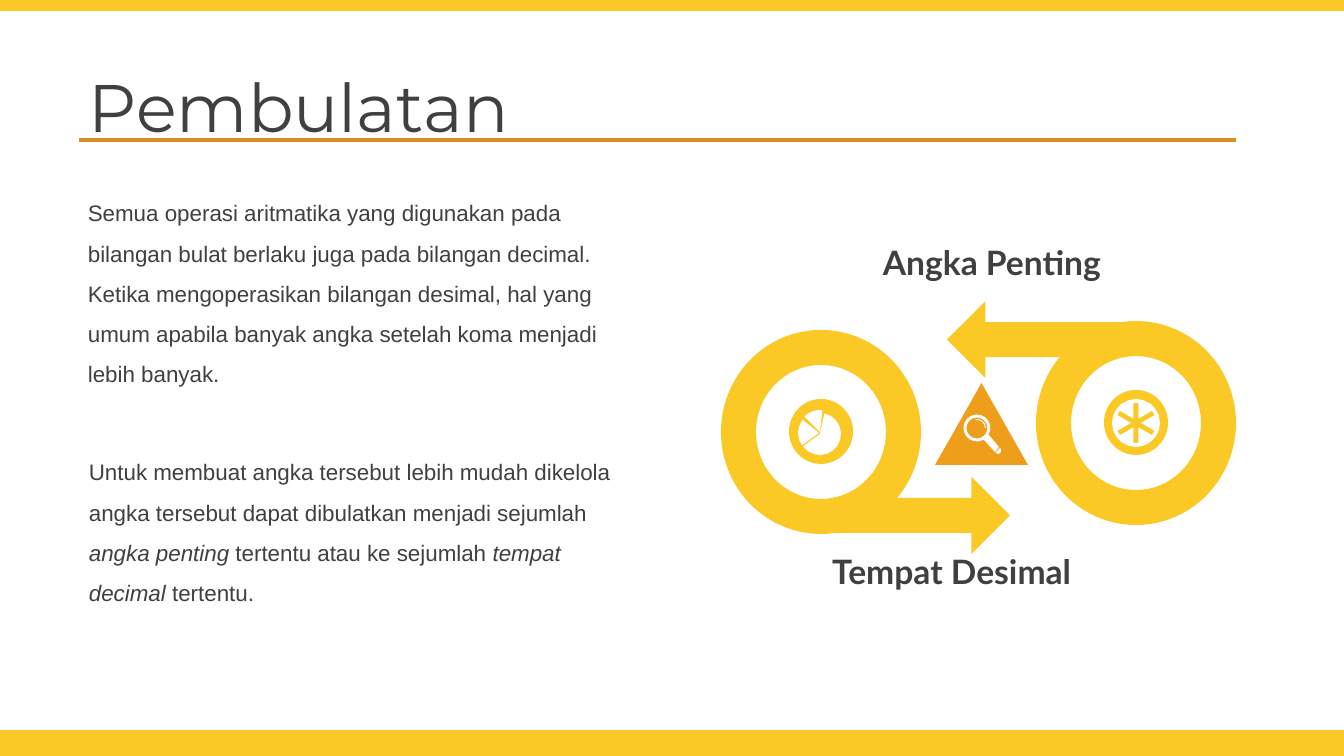
"""Builds the slide about rounding decimal numbers."""
from math import cos, radians, sin

from lxml.etree import SubElement
from pptx import Presentation
from pptx.dml.color import RGBColor
from pptx.enum.shapes import MSO_CONNECTOR, MSO_SHAPE as SHAPE
from pptx.enum.text import MSO_ANCHOR as ANCHOR, MSO_AUTO_SIZE as AUTO, PP_ALIGN as ALIGN
from pptx.oxml.ns import qn
from pptx.util import Pt

YELLOW = RGBColor(0xFA, 0xC9, 0x26)
ORANGE = RGBColor(0xEF, 0x9E, 0x1B)
RULE = RGBColor(0xDE, 0x8D, 0x22)
WHITE = RGBColor(0xFF, 0xFF, 0xFF)
INK = RGBColor(0x40, 0x40, 0x40)
SCALE = 914400 / 100.8


def emu(*lengths):
    return [round(v * SCALE) for v in lengths]


def arc(cx, cy, radius, start, end, steps):
    angles = [radians(start + (end - start) * i / steps) for i in range(steps + 1)]
    return [(cx + radius * cos(a), cy + radius * sin(a)) for a in angles]


def asterisk(cx, cy, length, half_width):
    points = []
    for angle in range(-90, 270, 60):
        c, s = cos(radians(angle)), sin(radians(angle))
        corners = [(length, -half_width), (length, half_width), (half_width * 3 ** 0.5, half_width)]
        points += [(cx + u * c - v * s, cy + u * s + v * c) for u, v in corners]
    return points


class Deck:
    def __init__(self, width, height):
        self.prs = Presentation()
        self.prs.slide_width, self.prs.slide_height = emu(width, height)
        self.s = self.prs.slides.add_slide(self.prs.slide_layouts[5])

    def paint(self, sp, color):
        sp.shadow.inherit = False
        sp.fill.solid()
        sp.fill.fore_color.rgb = color
        sp.line.fill.background()

    def shape(self, kind, x, y, w, h, color, rotation=0, adjust=()):
        sp = self.s.shapes.add_shape(kind, *emu(x, y, w, h))
        self.paint(sp, color)
        sp.rotation = rotation
        for i, value in enumerate(adjust):
            sp.adjustments[i] = value

    def icon(self, contours, color):
        builder = self.s.shapes.build_freeform(*emu(*contours[0][0]))
        for i, contour in enumerate(contours):
            if i:
                builder.move_to(*emu(*contour[0]))
            builder.add_line_segments([emu(*point) for point in contour[1:]])
        self.paint(builder.convert_to_shape(), color)

    def line(self, x1, y1, x2, y2, color, weight):
        sp = self.s.shapes.add_connector(MSO_CONNECTOR.STRAIGHT, *emu(x1, y1, x2, y2))
        sp.line.color.rgb = color
        sp.line.width = Pt(weight)
        SubElement(sp._element.spPr, qn("a:effectLst"))

    def style(self, r, font, size, bold=False, italic=False):
        r.font.name = font
        r.font.size = Pt(size)
        r.font.bold = bold
        r.font.italic = italic
        r.font.color.rgb = INK

    def title(self, text, x, y, w, h):
        sp = self.s.shapes.title
        sp.left, sp.top, sp.width, sp.height = emu(x, y, w, h)
        tf = sp.text_frame
        tf.text = text
        tf.auto_size = AUTO.NONE
        tf.vertical_anchor = ANCHOR.MIDDLE
        p = tf.paragraphs[0]
        p.alignment = ALIGN.CENTER
        p.line_spacing = 0.9
        self.style(p.runs[0], "Montserrat", 48)

    def text(self, x, y, w, h, parts, font, size, bold=False, align=ALIGN.LEFT, spacing=1.0):
        tf = self.s.shapes.add_textbox(*emu(x, y, w, h)).text_frame
        tf.word_wrap = True
        p = tf.paragraphs[0]
        p.alignment = align
        p.line_spacing = spacing
        for i, part in enumerate(parts):
            r = p.add_run()
            r.text = part
            self.style(r, font, size, bold, italic=i % 2 == 1)


def main():
    deck = Deck(1344, 756)
    deck.shape(SHAPE.RECTANGLE, 0, 730, 1344, 26, YELLOW)
    deck.shape(SHAPE.RECTANGLE, 0, 0, 1344, 11, YELLOW)
    deck.line(79, 140, 1236, 140, RULE, 3)
    deck.title("Pembulatan", -24, 68, 646, 85)

    deck.text(873, 237, 289, 50, ["Angka Penting"], "Lato", 24, bold=True)
    deck.text(781, 546, 300, 50, ["Tempat Desimal"], "Lato", 24, bold=True, align=ALIGN.RIGHT)

    loops = [(721, 330, 830, 477, 0), (1036, 321, 947, 301, 180)]
    for x, y, arrow_x, arrow_y, rotation in loops:
        deck.shape(SHAPE.DONUT, x, y, 200, 204, YELLOW, rotation, [0.175])
        deck.shape(SHAPE.RIGHT_ARROW, arrow_x, arrow_y, 180, 77, YELLOW, rotation, [0.455, 0.5])
        deck.shape(SHAPE.OVAL, x + 68, y + 69, 64, 65, YELLOW)
    deck.shape(SHAPE.ISOSCELES_TRIANGLE, 935, 383, 93, 82, ORANGE)

    deck.icon([asterisk(1136, 423, 20, 2.5), arc(1136, 423, 24, 0, 360, 20)], WHITE)

    lens = (977, 428)
    grip = [(1000, 448), (1001, 449), (1001, 452), (999, 454), (997, 454), (996, 452)]
    glare = arc(*lens, 9, -99, 0, 4) + arc(*lens, 8, 0, -99, 4)
    body = arc(*lens, 13.5, 60, 390, 16) + [(999, 447), (995, 452)]
    deck.icon([grip, glare, arc(*lens, 10.5, 0, 360, 16), body], WHITE)

    deck.icon([
        [(819, 433)] + arc(819, 433, 21, 144, 219, 4),
        [(820, 434)] + arc(820, 434, 21, -78, 144, 12),
        [(820, 432)] + arc(820, 432, 22, 225, 276, 4)], WHITE)

    deck.text(78, 181, 544, 209, [
        "Semua operasi aritmatika yang digunakan pada bilangan bulat berlaku juga "
        "pada bilangan decimal. Ketika mengoperasikan bilangan desimal, hal yang "
        "umum apabila banyak angka setelah koma menjadi lebih banyak."],
        "Arial", 16, spacing=1.5)
    deck.text(79, 440, 544, 168, [
        "Untuk membuat angka tersebut lebih mudah dikelola angka tersebut dapat "
        "dibulatkan menjadi sejumlah ", "angka penting ", "tertentu atau ke sejumlah ",
        "tempat decimal ", "tertentu."],
        "Arial", 16, spacing=1.5)
    deck.prs.save("out.pptx")


if __name__ == "__main__":
    main()
